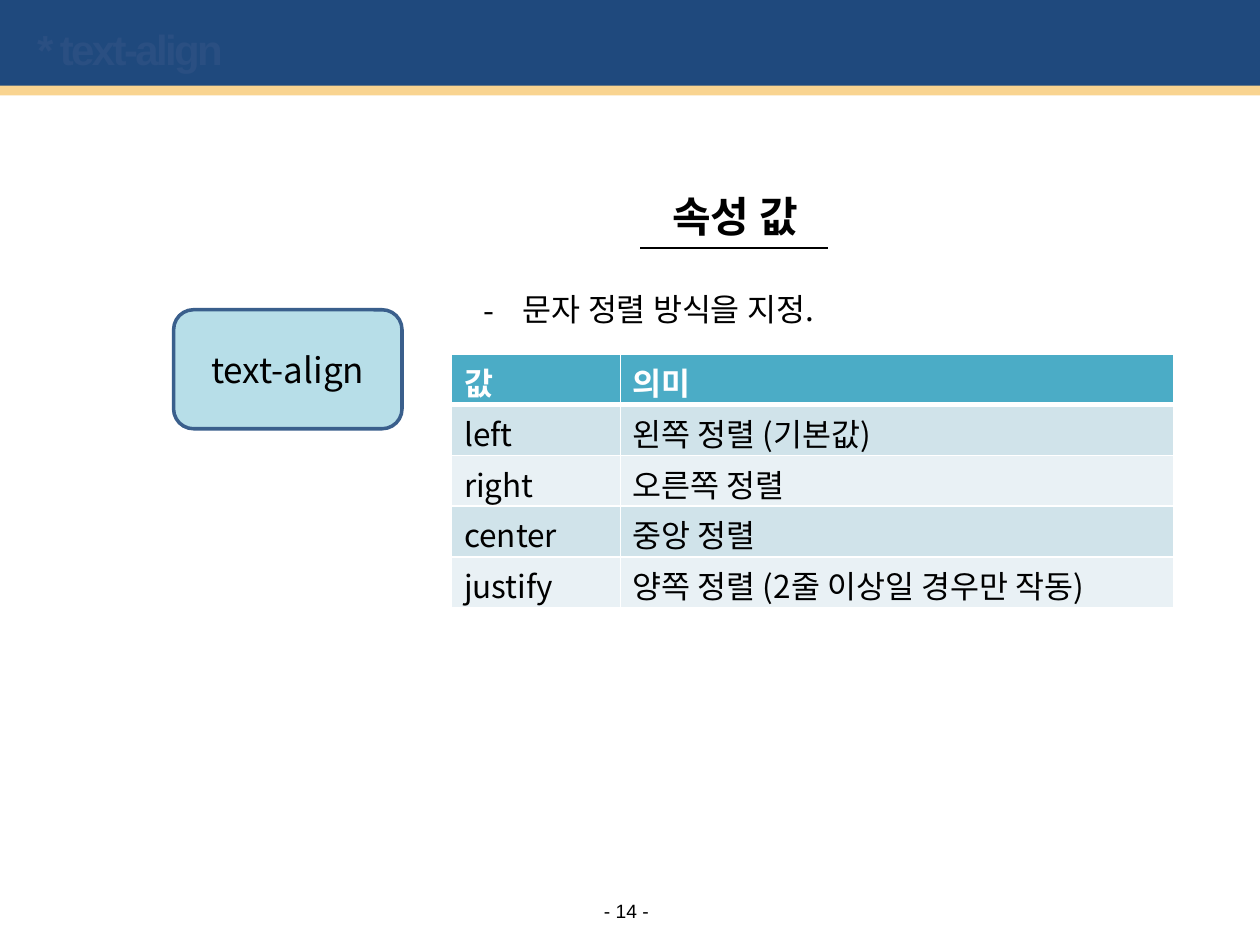
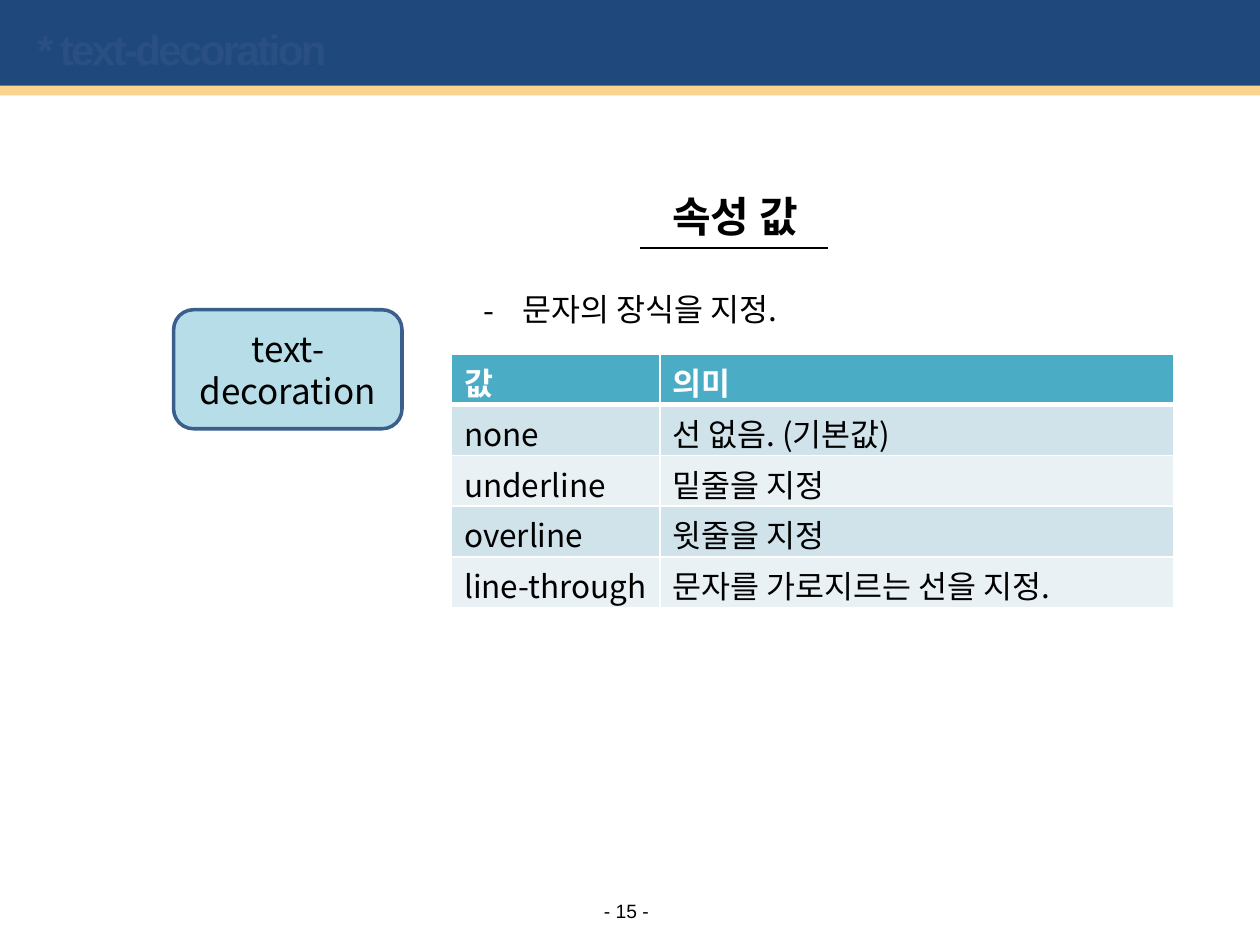
from pptx import Presentation
from pptx.dml.color import RGBColor
from pptx.enum.shapes import MSO_CONNECTOR, MSO_SHAPE
from pptx.enum.text import MSO_ANCHOR, PP_ALIGN
from pptx.oxml.ns import qn
from pptx.util import Pt
from lxml.etree import SubElement

KOREAN = "Noto Sans CJK KR"
NAVY, GOLD, TITLE = "1F497D", "F9D490", "2A4F82"
TEAL, BAND_DARK, BAND_LIGHT = "4BACC6", "D0E3EA", "E9F1F5"
BOX_FILL, BOX_LINE = "B7DEE8", "3A5F8C"
BLACK, WHITE = "000000", "FFFFFF"

PAGES = [
    (14, "text-align", "문자 정렬 방식을 지정.", (96.5, 316), [
        ("값", "의미"),
        ("left", "왼쪽 정렬 (기본값)"),
        ("right", "오른쪽 정렬"),
        ("center", "중앙 정렬"),
        ("justify", "양쪽 정렬 (2줄 이상일 경우만 작동)"),
    ]),
    (15, "text-decoration", "문자의 장식을 지정.", (119, 293.5), [
        ("값", "의미"),
        ("none", "선 없음. (기본값)"),
        ("underline", "밑줄을 지정"),
        ("overline", "윗줄을 지정"),
        ("line-through", "문자를 가로지르는 선을 지정."),
    ]),
]


def rgb(value):
    return RGBColor.from_string(value)


def add_run(p, text, size, color=BLACK, bold=False, font=KOREAN):
    r = p.add_run()
    r.text = text
    r.font.size, r.font.bold, r.font.name = Pt(size), bold, font
    r.font.color.rgb = rgb(color)
    SubElement(r.font._element, qn("a:ea"), typeface=font)
    return r


prs = Presentation()
prs.slide_width, prs.slide_height = Pt(720), Pt(540)

for number, name, summary, widths, rows in PAGES:
    s = prs.slides.add_slide(prs.slide_layouts[5])

    for top, height, color in ((-2, 54.5, NAVY), (49, 5.5, GOLD)):
        band = s.shapes.add_shape(MSO_SHAPE.RECTANGLE, 0, Pt(top), Pt(720), Pt(height))
        band.shadow.inherit = False
        band.fill.solid()
        band.fill.fore_color.rgb = rgb(color)
        band.line.fill.background()

    title = s.shapes.title
    s.shapes._spTree.append(title._element)
    title.left, title.top, title.width, title.height = Pt(14), Pt(8), Pt(640), Pt(40)
    tf = title.text_frame
    tf.vertical_anchor = MSO_ANCHOR.MIDDLE
    p = tf.paragraphs[0]
    p.alignment = PP_ALIGN.LEFT
    r = add_run(p, f"* {name}", 24, TITLE, True, "Arial")
    r.font._element.set("spc", "-150")

    sp = s.shapes.add_textbox(Pt(342.5), Pt(513.5), Pt(31), Pt(13.5))
    tf = sp.text_frame
    tf.margin_left = tf.margin_right = tf.margin_top = tf.margin_bottom = 0
    tf.word_wrap, tf.vertical_anchor = False, MSO_ANCHOR.MIDDLE
    p = tf.paragraphs[0]
    p.alignment = PP_ALIGN.CENTER
    add_run(p, f"- {number} -", 11, font="Arial")

    sp = s.shapes.add_textbox(Pt(281), Pt(105), Pt(278), Pt(36))
    tf = sp.text_frame
    tf.word_wrap, tf.vertical_anchor = True, MSO_ANCHOR.MIDDLE
    p = tf.paragraphs[0]
    p.alignment = PP_ALIGN.CENTER
    add_run(p, "속성 값", 24, bold=True)

    rule = s.shapes.add_connector(MSO_CONNECTOR.STRAIGHT, Pt(365.75), Pt(141.75), Pt(473), Pt(141.75))
    rule.line.color.rgb = rgb(BLACK)
    rule.line.width = Pt(1.5)
    SubElement(rule._element.spPr, qn("a:effectLst"))

    sp = s.shapes.add_textbox(Pt(269.25), Pt(162), Pt(351), Pt(29))
    tf = sp.text_frame
    tf.word_wrap, tf.vertical_anchor = True, MSO_ANCHOR.MIDDLE
    p = tf.paragraphs[0]
    pPr = p._p.get_or_add_pPr()
    pPr.set("marL", str(Pt(22.5)))
    pPr.set("indent", str(-Pt(22.5)))
    SubElement(pPr, qn("a:buFont"), typeface=KOREAN)
    SubElement(pPr, qn("a:buChar"), char="-")
    add_run(p, summary, 18)

    row_height = 29
    frame = s.shapes.add_table(len(rows), 2, Pt(258), Pt(202.25), Pt(sum(widths)), Pt(row_height * len(rows)))
    table = frame.table
    for column, width in zip(table.columns, widths):
        column.width = Pt(width)
    for i, texts in enumerate(rows):
        table.rows[i].height = Pt(row_height)
        fill = TEAL if i == 0 else (BAND_DARK if i % 2 else BAND_LIGHT)
        for j, text in enumerate(texts):
            cell = table.cell(i, j)
            cell.margin_top, cell.margin_bottom = Pt(3), 0
            tcPr = cell._tc.get_or_add_tcPr()
            for side in "LRTB":
                thick = (i, side) in ((0, "B"), (1, "T"))
                ln = SubElement(tcPr, qn(f"a:ln{side}"), w=str(Pt(3 if thick else 1)))
                SubElement(SubElement(ln, qn("a:solidFill")), qn("a:srgbClr"), val=WHITE)
            cell.fill.solid()
            cell.fill.fore_color.rgb = rgb(fill)
            add_run(cell.text_frame.paragraphs[0], text, 18, BLACK if i else WHITE, i == 0)

    box = s.shapes.add_shape(MSO_SHAPE.ROUNDED_RECTANGLE, Pt(99.25), Pt(177), Pt(130.5), Pt(68))
    box.shadow.inherit = False
    box.fill.solid()
    box.fill.fore_color.rgb = rgb(BOX_FILL)
    box.line.color.rgb = rgb(BOX_LINE)
    box.line.width = Pt(2)
    tf = box.text_frame
    tf.word_wrap, tf.vertical_anchor = True, MSO_ANCHOR.MIDDLE
    p = tf.paragraphs[0]
    p.alignment = PP_ALIGN.CENTER
    add_run(p, name, 20)

prs.save("out.pptx")
